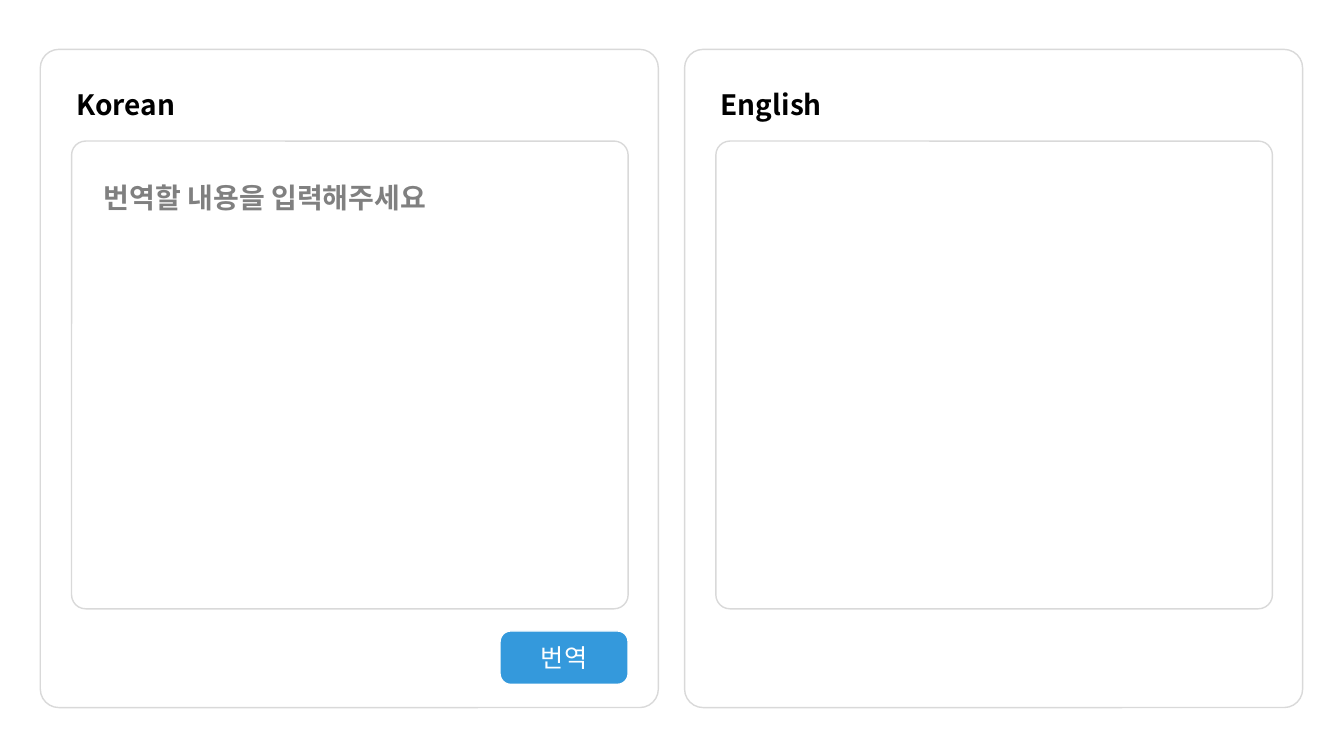
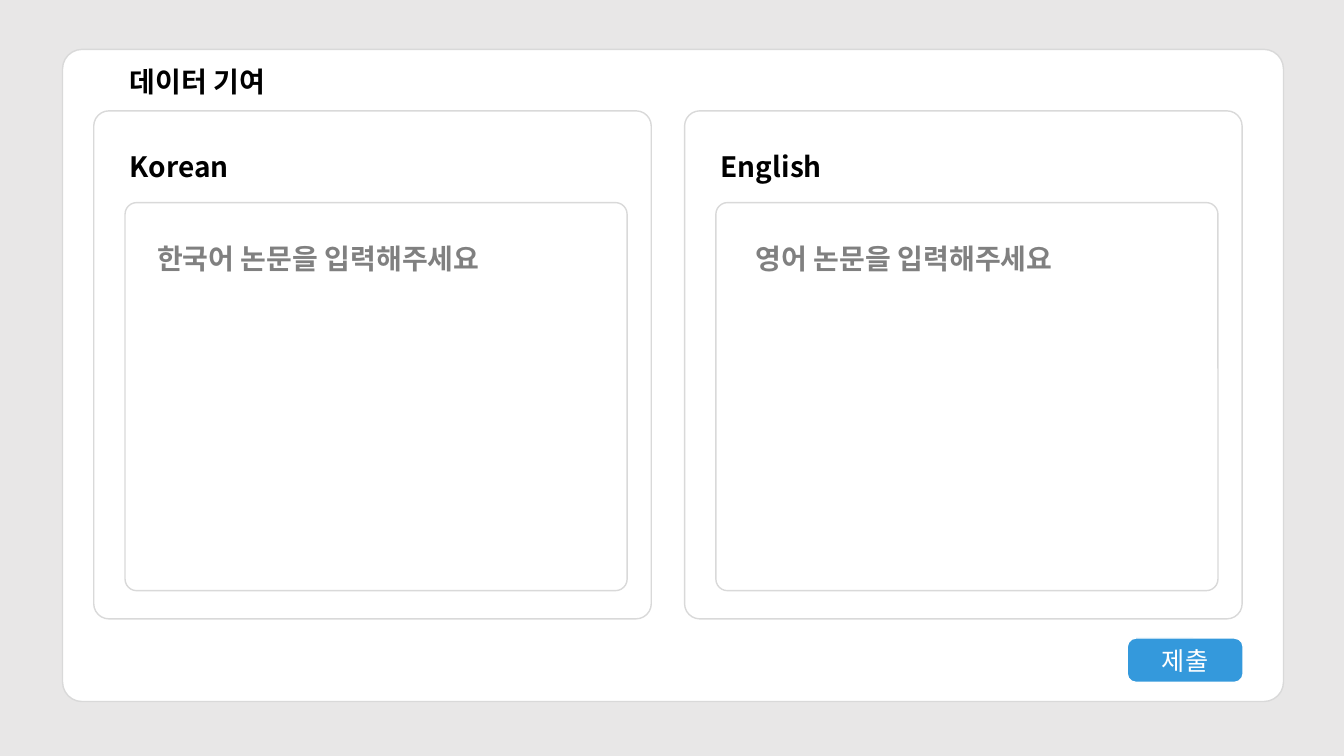
"""Build two translation screens: a translator and a data contribution form."""
from dataclasses import dataclass

from lxml.etree import SubElement
from pptx import Presentation
from pptx.dml.color import RGBColor
from pptx.enum.shapes import MSO_SHAPE
from pptx.enum.text import MSO_ANCHOR, MSO_AUTO_SIZE, PP_ALIGN
from pptx.oxml.ns import qn
from pptx.shapes.autoshape import Shape
from pptx.slide import Slide
from pptx.text.text import TextFrame
from pptx.util import Inches, Pt

FONT = "Noto Sans CJK KR"
WHITE = RGBColor(0xFF, 0xFF, 0xFF)
BLACK = RGBColor(0x00, 0x00, 0x00)
GRAY = RGBColor(0x80, 0x80, 0x80)
BORDER = RGBColor(0xD9, 0xD9, 0xD9)
BLUE = RGBColor(0x34, 0x99, 0xDC)
BACKDROP = RGBColor(0xE8, 0xE7, 0xE7)

CARD_RADIUS = 0.03
BUTTON_RADIUS = 0.2
TEXT_HEIGHT = 0.44


@dataclass(frozen=True)
class Box:
    """Position and size in inches."""
    left: float
    top: float
    width: float
    height: float


@dataclass(frozen=True)
class Panel:
    """Language card with a label, an input field and an optional hint."""
    label: str
    box: Box
    field_width: float
    field_height: float
    label_width: float
    hint: str = ""
    hint_width: float = 0
    hint_indent: float = 0.53


def write(tf: TextFrame, text: str, size: int, color: RGBColor, bold: bool = False) -> None:
    """Set one line of text and format its run."""
    tf.text = text
    r = tf.paragraphs[0].runs[0]
    r.font.size = Pt(size)
    r.font.bold = bold
    r.font.color.rgb = color
    r.font.name = FONT
    SubElement(r.font._element, qn("a:ea"), typeface=FONT)


def add_card(s: Slide, box: Box, fill: RGBColor = WHITE, line: RGBColor = BORDER,
             radius: float = CARD_RADIUS) -> Shape:
    """Add a rounded rectangle."""
    sp = s.shapes.add_shape(MSO_SHAPE.ROUNDED_RECTANGLE, Inches(box.left), Inches(box.top),
                            Inches(box.width), Inches(box.height))
    sp.adjustments[0] = radius
    sp.shadow.inherit = False
    sp.fill.solid()
    sp.fill.fore_color.rgb = fill
    sp.line.color.rgb = line
    sp.line.width = Pt(1)
    return sp


def add_label(s: Slide, left: float, top: float, width: float, text: str,
              color: RGBColor = BLACK) -> None:
    """Add a bold line of text."""
    sp = s.shapes.add_textbox(Inches(left), Inches(top), Inches(width), Inches(TEXT_HEIGHT))
    tf = sp.text_frame
    tf.word_wrap = True
    tf.auto_size = MSO_AUTO_SIZE.SHAPE_TO_FIT_TEXT
    write(tf, text, 20, color, bold=True)


def add_button(s: Slide, box: Box, text: str) -> None:
    """Add a blue button with a centred caption."""
    tf = add_card(s, box, BLUE, WHITE, BUTTON_RADIUS).text_frame
    tf.vertical_anchor = MSO_ANCHOR.MIDDLE
    write(tf, text, 18, WHITE)
    tf.paragraphs[0].alignment = PP_ALIGN.CENTER


def add_panel(s: Slide, panel: Panel) -> None:
    """Add a language card, placing its parts relative to its corner."""
    left, top = panel.box.left, panel.box.top
    add_card(s, panel.box)
    add_label(s, left + 0.26, top + 0.33, panel.label_width, panel.label)
    add_card(s, Box(left + 0.31, top + 0.91, panel.field_width, panel.field_height))
    if panel.hint:
        add_label(s, left + panel.hint_indent, top + 1.25, panel.hint_width, panel.hint, GRAY)


def add_screen(prs: Presentation, color: RGBColor) -> Slide:
    """Add a blank slide with a plain background."""
    s = prs.slides.add_slide(prs.slide_layouts[6])
    s.background.fill.solid()
    s.background.fill.fore_color.rgb = color
    return s


def build_translator(prs: Presentation) -> None:
    """Build the translation screen."""
    s = add_screen(prs, WHITE)
    size = (5.52, 4.64, 3.29)
    add_panel(s, Panel("Korean", Box(0.4, 0.49, 6.13, 6.53), *size,
                       "번역할 내용을 입력해주세요", 4.55))
    add_panel(s, Panel("English", Box(6.79, 0.49, 6.13, 6.53), *size))
    add_button(s, Box(4.96, 6.26, 1.27, 0.53), "번역")


def build_contribution(prs: Presentation) -> None:
    """Build the data contribution screen."""
    s = add_screen(prs, BACKDROP)
    add_card(s, Box(0.62, 0.49, 12.11, 6.47))
    add_label(s, 1.19, 0.59, 2.97, "데이터 기여")
    size = (4.98, 3.85, 2.97)
    add_panel(s, Panel("Korean", Box(0.93, 1.1, 5.53, 5.04), *size,
                       "한국어 논문을 입력해주세요", 4.11))
    add_panel(s, Panel("English", Box(6.79, 1.1, 5.53, 5.04), *size,
                       "영어 논문을 입력해주세요", 4.07, 0.61))
    add_button(s, Box(11.18, 6.33, 1.15, 0.44), "제출")


def main() -> None:
    """Build and save the presentation."""
    prs = Presentation()
    prs.slide_width, prs.slide_height = Inches(13.33), Inches(7.5)
    build_translator(prs)
    build_contribution(prs)
    prs.save("out.pptx")


if __name__ == "__main__":
    main()
